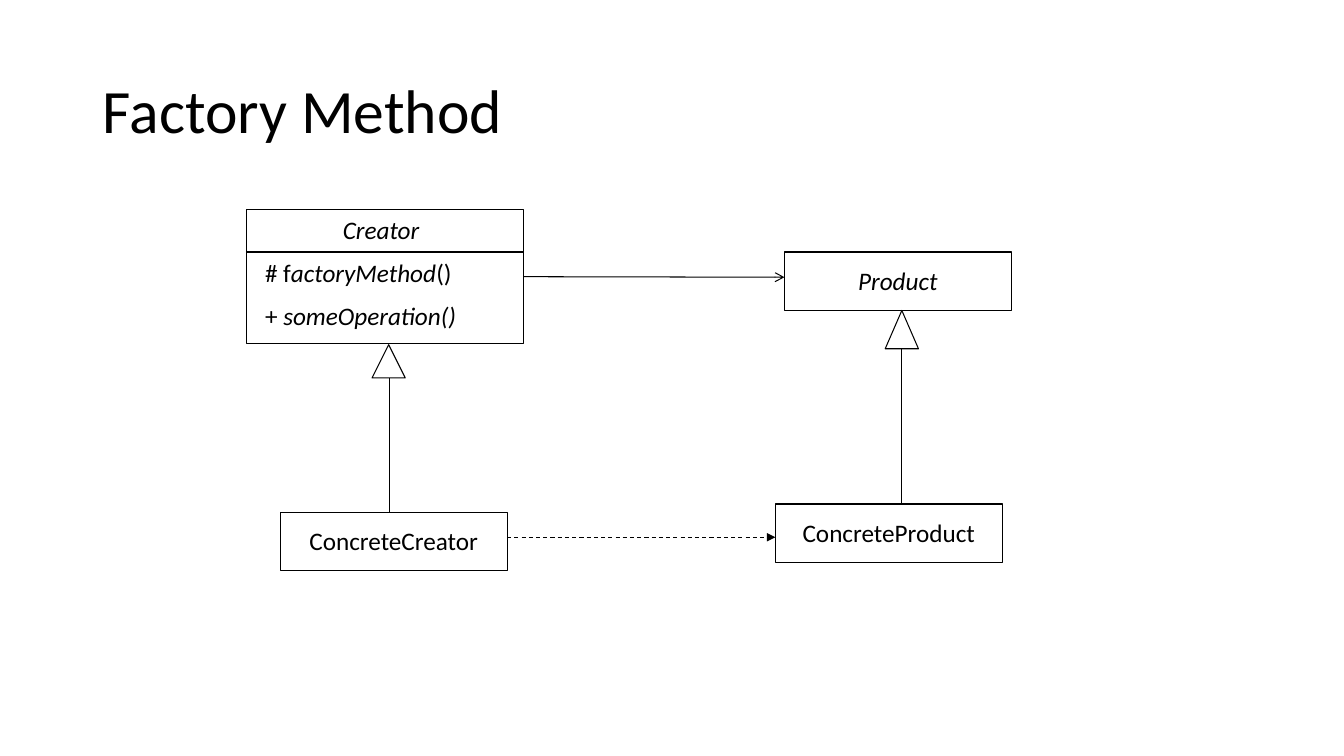
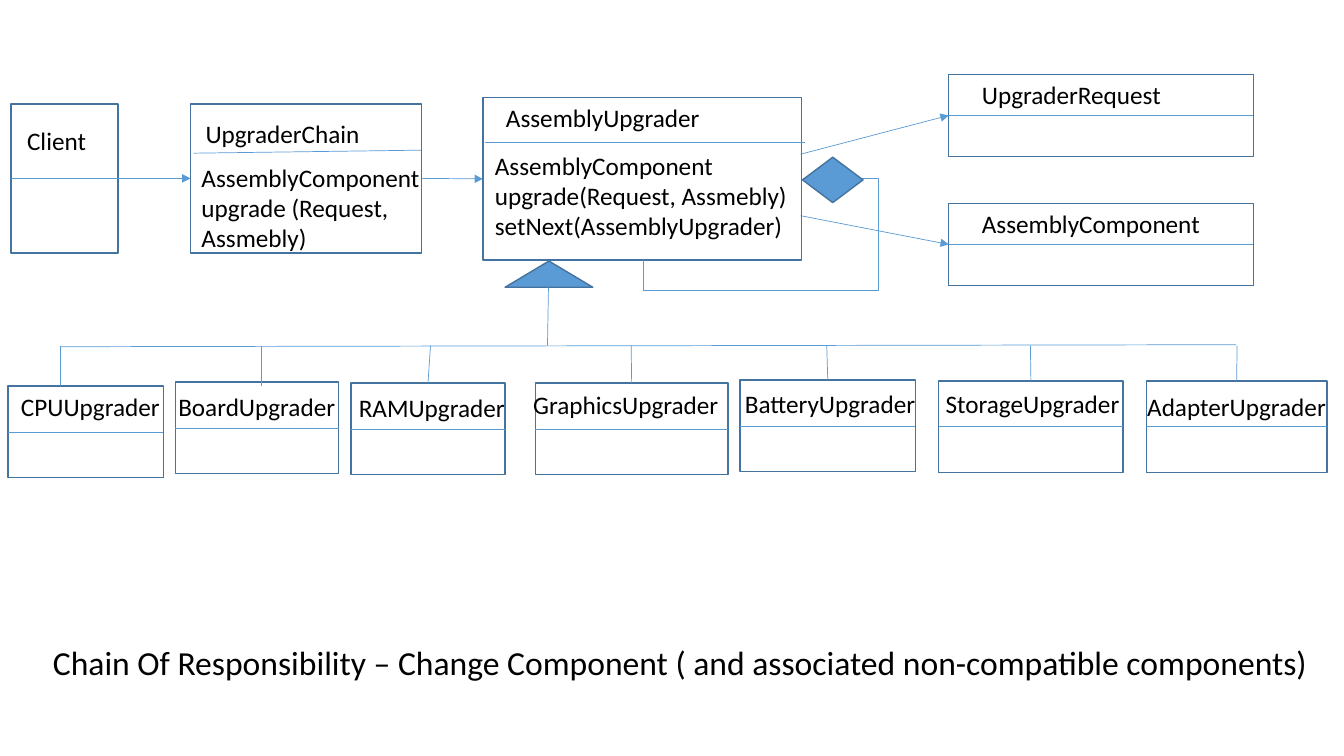
from lxml import etree
from pptx import Presentation
from pptx.dml.color import RGBColor
from pptx.enum.dml import MSO_LINE_DASH_STYLE as Dash
from pptx.enum.shapes import MSO_AUTO_SHAPE_TYPE as Shape, MSO_CONNECTOR as Link
from pptx.enum.text import MSO_ANCHOR as Anchor, PP_ALIGN as Align
from pptx.oxml.ns import qn
from pptx.util import Emu, Pt

# Shared look: 100 px to the inch
SCALE = 9144
SLIDE_SIZE = (1333, 750)
FONT = "Calibri"
BLACK, WHITE, BLUE, DARK_BLUE = "000000", "FFFFFF", "5B9BD5", "43739E"
TOP, LEFT, BOTTOM, RIGHT = range(4)
LABEL_HEIGHT = 40

# Factory Method: outlines as left, top, width, height; runs as (text, italic)
FACTORY_TITLE = "Factory Method"
CREATOR = (244, 208, 275, 133)
CREATOR_NAME = (253, 208, 250, LABEL_HEIGHT)
CREATOR_DIVIDER = 250
OPERATIONS_AT = (253, 250, 258, 85)
OPERATIONS = [
    [("# f", False), ("actoryMethod", True), ("()", False)],
    [("+ ", False), ("someOperation()", True)],
]
NAMED_CLASSES = [
    ("Product", True, 778, 250),
    ("ConcreteCreator", False, 278, 508),
    ("ConcreteProduct", False, 769, 500),
]
NAMED_SIZE = (225, 58)
# Inheritance: line x, line bottom, triangle left, top, height
INHERITANCE = [(386, 508, 369, 342, 33), (894, 500, 878, 308, 38)]
TRIANGLE_WIDTH = 33

# Chain of Responsibility: name, outline, label left, top, width
CAPTION = "Chain Of Responsibility – Change Component ( and associated non-compatible components)"
CAPTION_AT = (20, 632, 1309, 50)
HALVED_CLASSES = [
    ("Client", (11, 103, 106, 148), (17, 119, 91)),
    ("UpgraderRequest", (941, 74, 302, 81), (964, 74, 216)),
    ("AssemblyComponent", (941, 202, 302, 81), (964, 202, 253)),
]
# Name, outline, label, divider ends, body text frame, body lines
DETAILED_CLASSES = [
    ("UpgraderChain", (189, 103, 229, 148), (194, 112, 247),
     (192, 152, 418, 149), (190, 156, 251, 101),
     ["AssemblyComponent upgrade (Request, Assmebly)"]),
    ("AssemblyUpgrader", (479, 97, 316, 161), (492, 97, 226),
     (481, 141, 798, 141), (481, 144, 322, 101),
     ["AssemblyComponent upgrade(Request, Assmebly)", "setNext(AssemblyUpgrader)"]),
]
# Name, left, top, width, label left, top, width, branch x at the bar
UPGRADERS = [
    ("CPUUpgrader", 8, 383, 154, 11, 383, 170, 60),
    ("BoardUpgrader", 174, 379, 162, 167, 383, 186, 259),
    ("RAMUpgrader", 348, 380, 153, 346, 384, 165, 427),
    ("GraphicsUpgrader", 531, 380, 191, 519, 381, 220, 626),
    ("BatteryUpgrader", 734, 377, 174, 729, 380, 197, 820),
    ("StorageUpgrader", 931, 378, 183, 928, 380, 211, 1022),
    ("AdapterUpgrader", 1137, 378, 179, 1128, 383, 220, 1227),
]
UPGRADER_HEIGHT = 91
OFF_CENTRE_BRANCHES = {"CPUUpgrader", "BoardUpgrader"}
BAR, BAR_Y, BRANCH_BOTTOM = (60, 344, 1226, 342), 343, 383
STEM = (544, 285, 543, 343)
PARENT_TRIANGLE = (501, 259, 87, 26)
DIAMOND = (796, 156, 60, 45)
NEXT_LOOP = (796, 177, 638, 258)
NEXT_LOOP_BENDS = {"adj1": -47500, "adj2": 136600}
# Start point of each arrow out of AssemblyUpgrader
UPGRADER_ARROWS = [("UpgraderRequest", 794, 153), ("AssemblyComponent", 794, 214)]


def px(*values):
    return [Emu(value * SCALE) for value in values]


def color(hex_code):
    return RGBColor.from_string(hex_code)


def set_font(font, size):
    font.name, font.size = FONT, Pt(size)
    font.color.rgb = color(BLACK)


def add_text(page, at, paragraphs, size=18, align=Align.LEFT, space=0):
    """Each paragraph is a list of (text, italic) runs."""
    frame = page.shapes.add_textbox(*px(*at)).text_frame
    frame.word_wrap = True
    for index, runs in enumerate(paragraphs):
        para = frame.add_paragraph() if index else frame.paragraphs[0]
        para.alignment = align
        set_font(para.font, size)
        if index:
            para.space_before = Pt(space)
        for text, italic in runs:
            span = para.add_run()
            span.text = text
            span.font.italic = italic


def add_box(page, at, kind=Shape.RECTANGLE, fill=None, line=DARK_BLUE, width=1):
    box = page.shapes.add_shape(kind, *px(*at))
    box.shadow.inherit = False
    if fill:
        box.fill.solid()
        box.fill.fore_color.rgb = color(fill)
    else:
        box.fill.background()
    box.line.color.rgb = color(line)
    box.line.width = Pt(width)
    return box


def add_line(page, ends, line=BLUE, width=0.5, head=None, dash=None,
             start=None, finish=None, kind=Link.STRAIGHT):
    """start and finish are (box, side) pairs to join."""
    link = page.shapes.add_connector(kind, *px(*ends))
    if start:
        link.begin_connect(*start)
    if finish:
        link.end_connect(*finish)
    link.line.color.rgb = color(line)
    link.line.width = Pt(width)
    if dash:
        link.line.dash_style = dash
    properties = link.element.spPr
    if head:
        etree.SubElement(properties.find(qn("a:ln")), qn("a:tailEnd"), type=head)
    etree.SubElement(properties, qn("a:effectLst"))
    return link


def add_halved_class(page, name, at, label):
    box = add_box(page, at)
    left, top, width, height = at
    middle = top + height // 2
    add_line(page, (left, middle, left + width, middle),
             start=(box, LEFT), finish=(box, RIGHT))
    add_text(page, (*label, LABEL_HEIGHT), [[(name, False)]])
    return box


def build_factory_method(deck):
    page = deck.slides.add_slide(deck.slide_layouts[5])
    ink = {"line": BLACK, "width": 0.75}

    # Title
    title = page.shapes.title
    title.left, title.top, title.width, title.height = px(92, 40, 1150, 145)
    title.text_frame.text = FACTORY_TITLE
    title.text_frame.vertical_anchor = Anchor.MIDDLE
    para = title.text_frame.paragraphs[0]
    para.alignment, para.line_spacing = Align.LEFT, 0.9
    set_font(para.font, 44)

    # Creator and its operations
    creator = add_box(page, CREATOR, **ink)
    left, _, width, _ = CREATOR
    add_line(page, (left, CREATOR_DIVIDER, left + width, CREATOR_DIVIDER), **ink)
    add_text(page, CREATOR_NAME, [[("Creator", True)]], align=Align.CENTER)
    add_text(page, OPERATIONS_AT, OPERATIONS, space=9)

    # Classes with a name only
    for name, italic, left, top in NAMED_CLASSES:
        add_box(page, (left, top, *NAMED_SIZE), **ink)
        add_text(page, (left, top + 8, NAMED_SIZE[0], LABEL_HEIGHT),
                 [[(name, italic)]], align=Align.CENTER)

    # Relations
    for x, bottom, left, top, height in INHERITANCE:
        add_line(page, (x, top + height, x, bottom), **ink)
        add_box(page, (left, top, TRIANGLE_WIDTH, height),
                Shape.ISOSCELES_TRIANGLE, WHITE, **ink)
    add_line(page, (519, 275, 778, 275), head="arrow", start=(creator, RIGHT), **ink)
    add_line(page, (503, 533, 769, 533), head="triangle", dash=Dash.DASH, **ink)


def build_chain(deck):
    page = deck.slides.add_slide(deck.slide_layouts[6])
    add_text(page, CAPTION_AT, [[(CAPTION, False)]], size=24, align=Align.CENTER)

    # Classes of the chain
    boxes = {name: add_halved_class(page, name, at, label)
             for name, at, label in HALVED_CLASSES}
    for name, at, label, divider, body_at, body in DETAILED_CLASSES:
        boxes[name] = add_box(page, at)
        add_line(page, divider)
        add_text(page, (*label, LABEL_HEIGHT), [[(name, False)]])
        add_text(page, body_at, [[(text, False)] for text in body])

    # Arrows between the classes
    for source, target in [("Client", "UpgraderChain"), ("UpgraderChain", "AssemblyUpgrader")]:
        add_line(page, (0, 0, 0, 0), head="triangle",
                 start=(boxes[source], RIGHT), finish=(boxes[target], LEFT))
    for target, x, y in UPGRADER_ARROWS:
        add_line(page, (x, y, x, y), head="triangle", finish=(boxes[target], LEFT))

    # Loop to the next upgrader
    loop = add_line(page, NEXT_LOOP, kind=Link.ELBOW)
    geometry = loop.element.spPr.find(qn("a:prstGeom"))
    geometry.set("prst", "bentConnector4")
    bends = geometry.find(qn("a:avLst"))
    if bends is None:
        bends = etree.SubElement(geometry, qn("a:avLst"))
    for name, value in NEXT_LOOP_BENDS.items():
        etree.SubElement(bends, qn("a:gd"), name=name, fmla=f"val {value}")
    add_box(page, DIAMOND, Shape.DIAMOND, BLUE)

    # Concrete upgraders hanging from one bar
    add_line(page, BAR)
    add_box(page, PARENT_TRIANGLE, Shape.ISOSCELES_TRIANGLE, BLUE)
    add_line(page, STEM)
    for name, left, top, width, label_left, label_top, label_width, branch in UPGRADERS:
        box = add_halved_class(page, name, (left, top, width, UPGRADER_HEIGHT),
                               (label_left, label_top, label_width))
        finish = None if name in OFF_CENTRE_BRANCHES else (box, TOP)
        add_line(page, (branch, BAR_Y, branch, BRANCH_BOTTOM), finish=finish)


def main():
    deck = Presentation()
    deck.slide_width, deck.slide_height = px(*SLIDE_SIZE)
    build_factory_method(deck)
    build_chain(deck)
    deck.save("out.pptx")


if __name__ == "__main__":
    main()
